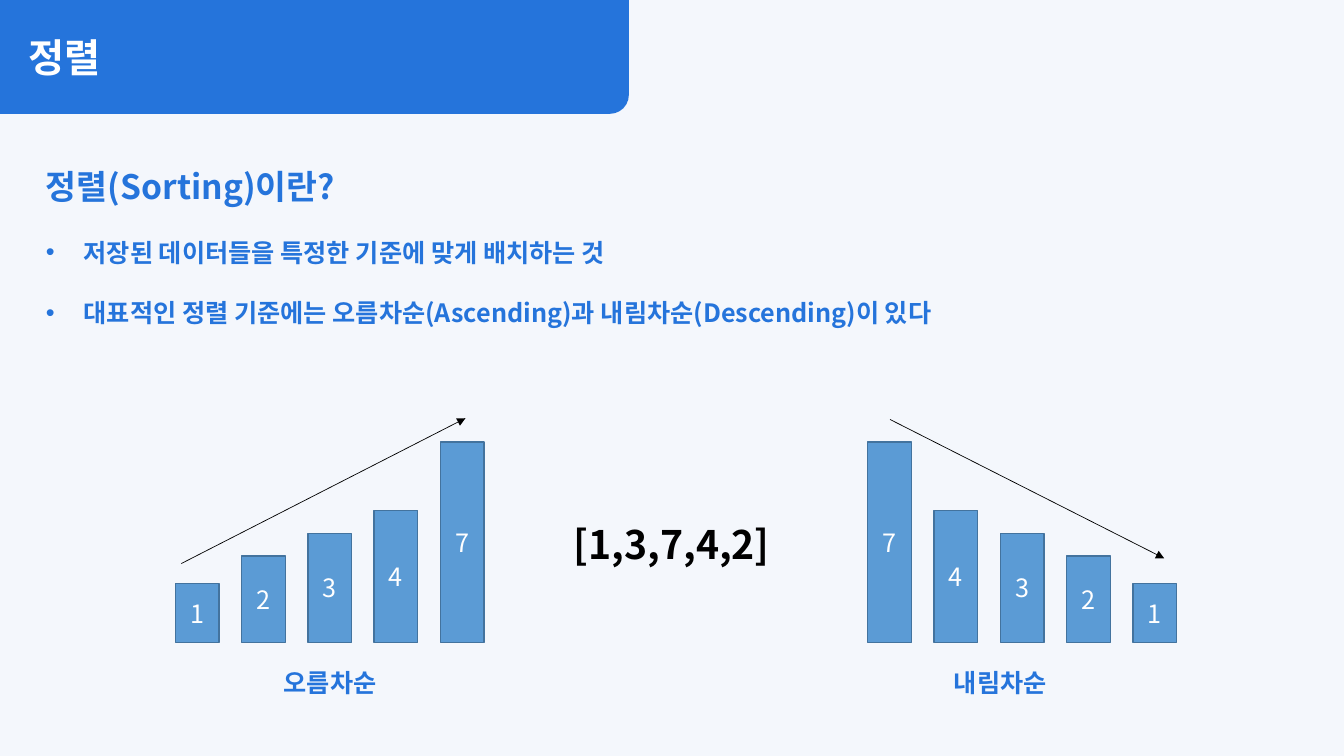
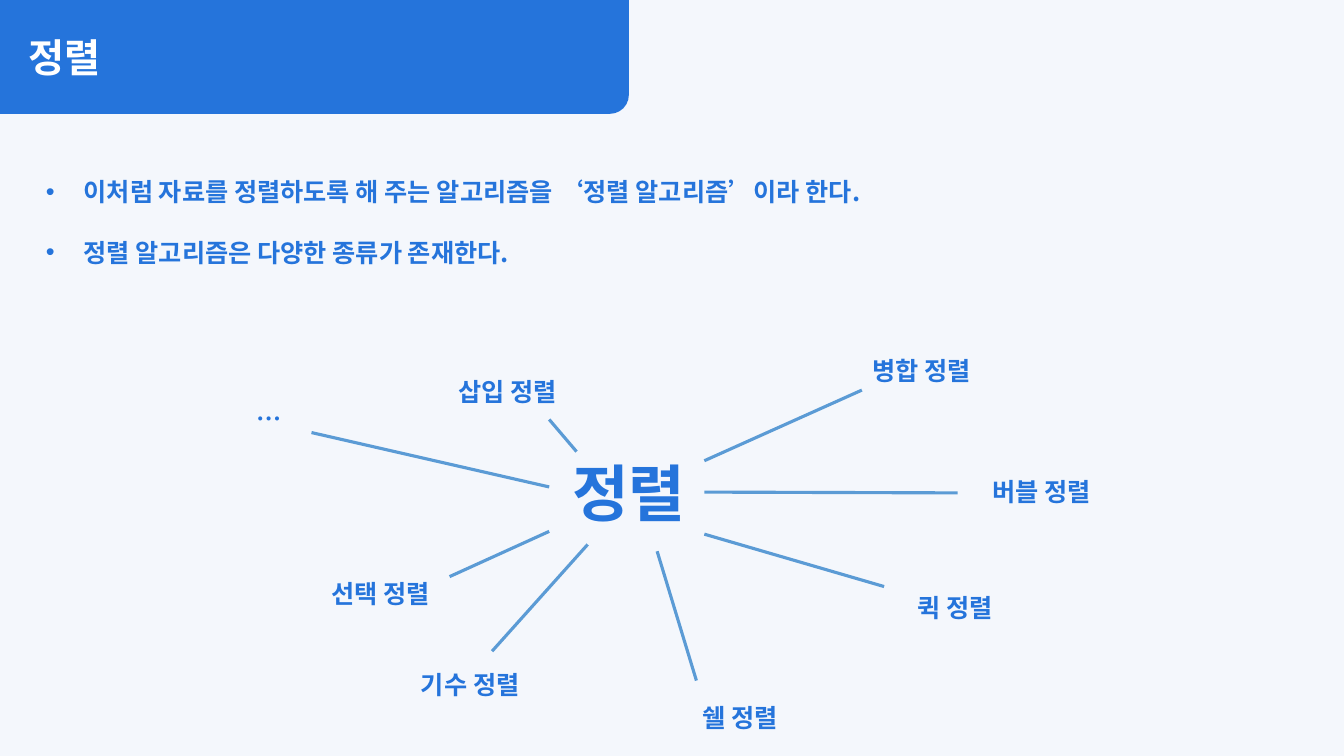
from dataclasses import dataclass

from lxml import etree
from pptx import Presentation
from pptx import util as u
from pptx.dml import color
from pptx.enum import shapes, text
from pptx.oxml import ns


# Shared look
@dataclass(frozen=True)
class Theme:
    font: str = "Noto Sans CJK KR"
    background: str = "F4F7FC"
    primary: str = "2574DB"
    bar: str = "5B9BD5"
    bar_edge: str = "43739E"
    white: str = "FFFFFF"
    black: str = "000000"
    hub_size: int = 44
    title_size: int = 28
    heading_size: int = 24
    body_size: int = 18


THEME = Theme()


# Repeated elements, all lengths in centimetres
@dataclass(frozen=True)
class Box:
    left: float
    top: float
    width: float
    height: float

    def lengths(self) -> tuple:
        return tuple(u.Cm(value) for value in (self.left, self.top, self.width, self.height))


@dataclass(frozen=True)
class Line:
    start: tuple[float, float]
    end: tuple[float, float]


@dataclass(frozen=True)
class BarGroup:
    caption: str
    values: tuple[int, ...]
    left: float
    arrow: Line
    caption_box: Box


@dataclass(frozen=True)
class Branch:
    name: str
    left: float
    top: float
    line: Line


BAR_HEIGHTS = {1: 1.48, 2: 2.18, 3: 2.75, 4: 3.33, 7: 5.05}
BAR_WIDTH, BAR_PITCH, BAR_BASE = 1.1, 1.67, 16.19

BAR_GROUPS = (
    BarGroup("오름차순", (1, 2, 3, 4, 7), 4.42,
             Line((4.57, 14.2), (11.73, 10.54)), Box(5.41, 16.7, 5.82, 1.02)),
    BarGroup("내림차순", (7, 4, 3, 2, 1), 21.87,
             Line((22.43, 10.57), (29.34, 14.07)), Box(22.3, 16.7, 5.82, 1.02)),
)

BRANCHES = (
    Branch("병합 정렬", 21.49, 8.84, Line((17.75, 11.61), (21.72, 9.83))),
    Branch("버블 정렬", 24.51, 11.89, Line((17.75, 12.4), (24.13, 12.42))),
    Branch("퀵 정렬", 22.33, 14.81, Line((17.75, 13.46), (22.28, 14.78))),
    Branch("쉘 정렬", 16.92, 17.58, Line((16.56, 13.89), (17.55, 17.15))),
    Branch("기수 정렬", 10.11, 16.74, Line((14.81, 13.72), (12.4, 16.41))),
    Branch("선택 정렬", 7.85, 14.45, Line((13.84, 13.39), (11.33, 14.53))),
    Branch("…", 5.05, 10.03, Line((13.84, 12.27), (7.85, 10.9))),
    Branch("삽입 정렬", 11.05, 9.35, Line((14.53, 11.38), (13.84, 10.57))),
)


def rgb(value: str) -> color.RGBColor:
    return color.RGBColor.from_string(value)


# Text helpers
def add_run(paragraph, words: str, size: int, ink: str = THEME.primary, bold: bool = True) -> None:
    run = paragraph.add_run()
    run.text = words
    run.font.name = THEME.font
    run.font.size = u.Pt(size)
    run.font.bold = bold
    run.font.color.rgb = rgb(ink)
    east_asian = etree.SubElement(run.font._element, ns.qn("a:ea"))
    east_asian.set("typeface", THEME.font)


def add_text_frame(container, box: Box):
    frame = container.add_textbox(*box.lengths()).text_frame
    frame.word_wrap = True
    frame.auto_size = text.MSO_AUTO_SIZE.SHAPE_TO_FIT_TEXT
    return frame


def add_label(container, box: Box, words: str, size: int = THEME.body_size,
              ink: str = THEME.primary, align=text.PP_ALIGN.CENTER) -> None:
    paragraph = add_text_frame(container, box).paragraphs[0]
    paragraph.alignment = align
    add_run(paragraph, words, size, ink)


def make_bullet(paragraph) -> None:
    properties = paragraph._p.get_or_add_pPr()
    indent = u.Cm(0.95)
    properties.set("marL", str(indent))
    properties.set("indent", str(-indent))
    etree.SubElement(properties, ns.qn("a:buFont")).set("typeface", "Arial")
    etree.SubElement(properties, ns.qn("a:buChar")).set("char", "•")


def add_body(slide, height: float, bullets: tuple[str, ...], heading: str = "") -> None:
    frame = add_text_frame(slide.shapes, Box(0.91, 3.56, 32.03, height))
    paragraph = frame.paragraphs[0]
    if heading:
        paragraph.line_spacing = 1.5
        add_run(paragraph, heading, THEME.heading_size)
    for index, words in enumerate(bullets):
        if heading or index:
            paragraph = frame.add_paragraph()
        make_bullet(paragraph)
        paragraph.line_spacing = 2.0
        add_run(paragraph, words, THEME.body_size)


# Shape helpers
def add_block(container, kind, box: Box, fill: str):
    shape = container.add_shape(kind, *box.lengths())
    shape.shadow.inherit = False
    shape.fill.solid()
    shape.fill.fore_color.rgb = rgb(fill)
    return shape


def add_line(container, line: Line, ink: str, width: float, arrow: bool = False) -> None:
    points = (u.Cm(value) for value in (*line.start, *line.end))
    connector = container.add_connector(shapes.MSO_CONNECTOR.STRAIGHT, *points)
    connector.line.color.rgb = rgb(ink)
    connector.line.width = u.Pt(width)
    if arrow:
        tail = etree.SubElement(connector.line._get_or_add_ln(), ns.qn("a:tailEnd"))
        tail.set("type", "triangle")
    etree.SubElement(connector._element.spPr, ns.qn("a:effectLst"))


def add_slide(presentation, title: str):
    slide = presentation.slides.add_slide(presentation.slide_layouts[6])
    slide.background.fill.solid()
    slide.background.fill.fore_color.rgb = rgb(THEME.background)
    header = slide.shapes.add_group_shape().shapes
    band = add_block(header, shapes.MSO_SHAPE.ROUND_1_RECTANGLE,
                     Box(0, 0, 15.85, 2.87), THEME.primary)
    band.line.fill.background()
    band._element.spPr.xfrm.set("flipV", "1")
    add_label(header, Box(0.48, 0.71, 14.86, 1.45), title, THEME.title_size,
              THEME.white, text.PP_ALIGN.LEFT)
    return slide


def add_bar_group(slide, group: BarGroup) -> None:
    container = slide.shapes.add_group_shape().shapes
    for index, value in enumerate(group.values):
        height = BAR_HEIGHTS[value]
        box = Box(group.left + index * BAR_PITCH, BAR_BASE - height, BAR_WIDTH, height)
        bar = add_block(container, shapes.MSO_SHAPE.RECTANGLE, box, THEME.bar)
        bar.line.color.rgb = rgb(THEME.bar_edge)
        bar.line.width = u.Pt(1)
        bar.text_frame.vertical_anchor = text.MSO_ANCHOR.MIDDLE
        paragraph = bar.text_frame.paragraphs[0]
        paragraph.alignment = text.PP_ALIGN.CENTER
        add_run(paragraph, str(value), THEME.body_size, THEME.white, bold=False)
    add_line(container, group.arrow, THEME.black, 0.5, arrow=True)
    add_label(container, group.caption_box, group.caption)


# Slides
def build_definition(presentation) -> None:
    slide = add_slide(presentation, "정렬")
    add_body(slide, 4.62, (
        "저장된 데이터들을 특정한 기준에 맞게 배치하는 것",
        "대표적인 정렬 기준에는 오름차순(Ascending)과 내림차순(Descending)이 있다",
    ), heading="정렬(Sorting)이란?")
    for group in BAR_GROUPS:
        add_bar_group(slide, group)
    add_label(slide.shapes, Box(11.99, 12.98, 9.88, 1.45), "[1,3,7,4,2]",
              THEME.title_size, THEME.black)


def build_algorithms(presentation) -> None:
    slide = add_slide(presentation, "정렬")
    add_body(slide, 3.1, (
        "이처럼 자료를 정렬하도록 해 주는 알고리즘을 ‘정렬 알고리즘’이라 한다.",
        "정렬 알고리즘은 다양한 종류가 존재한다.",
    ))
    add_label(slide.shapes, Box(12.55, 11.33, 6.6, 2.13), "정렬", THEME.hub_size)
    for branch in BRANCHES:
        add_line(slide.shapes, branch.line, THEME.bar, 2.25)
        add_label(slide.shapes, Box(branch.left, branch.top, 3.48, 1.02), branch.name)


def main() -> None:
    presentation = Presentation()
    presentation.slide_width = u.Cm(33.87)
    presentation.slide_height = u.Cm(19.05)
    build_definition(presentation)
    build_algorithms(presentation)
    presentation.save("out.pptx")


if __name__ == "__main__":
    main()
